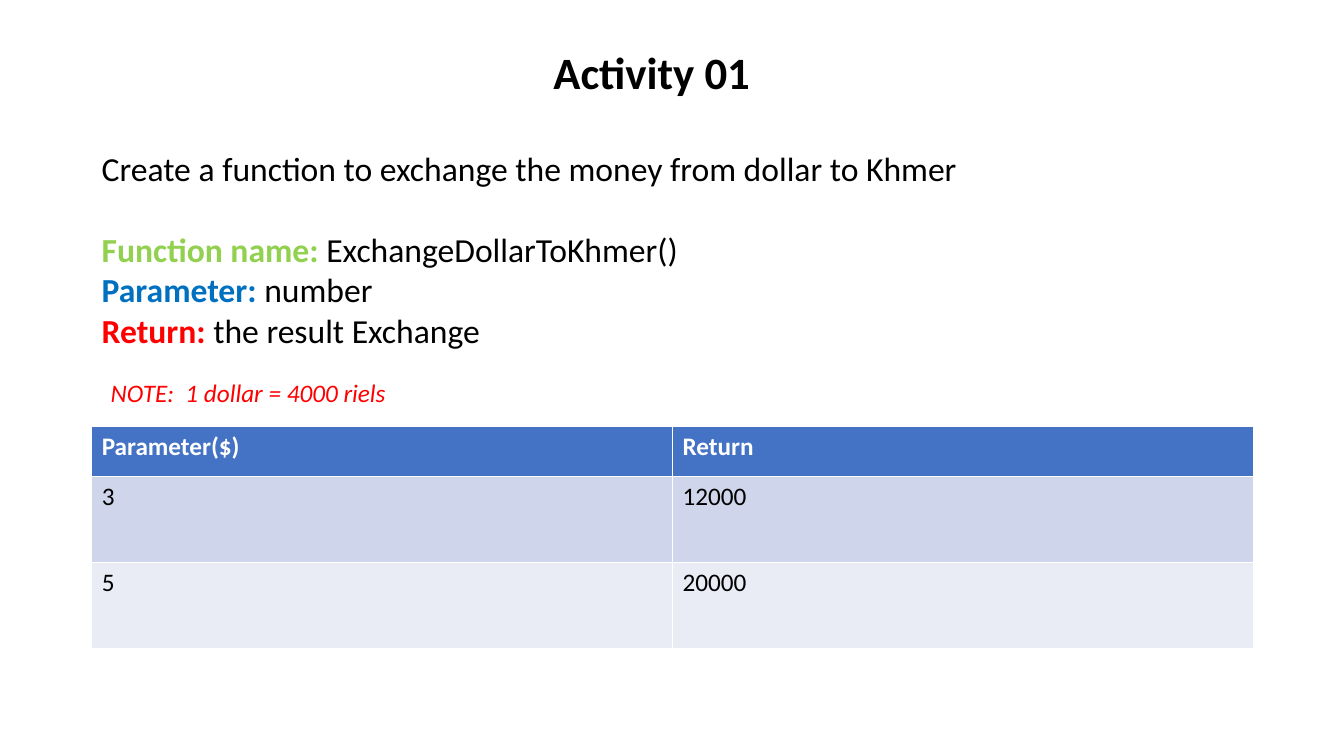
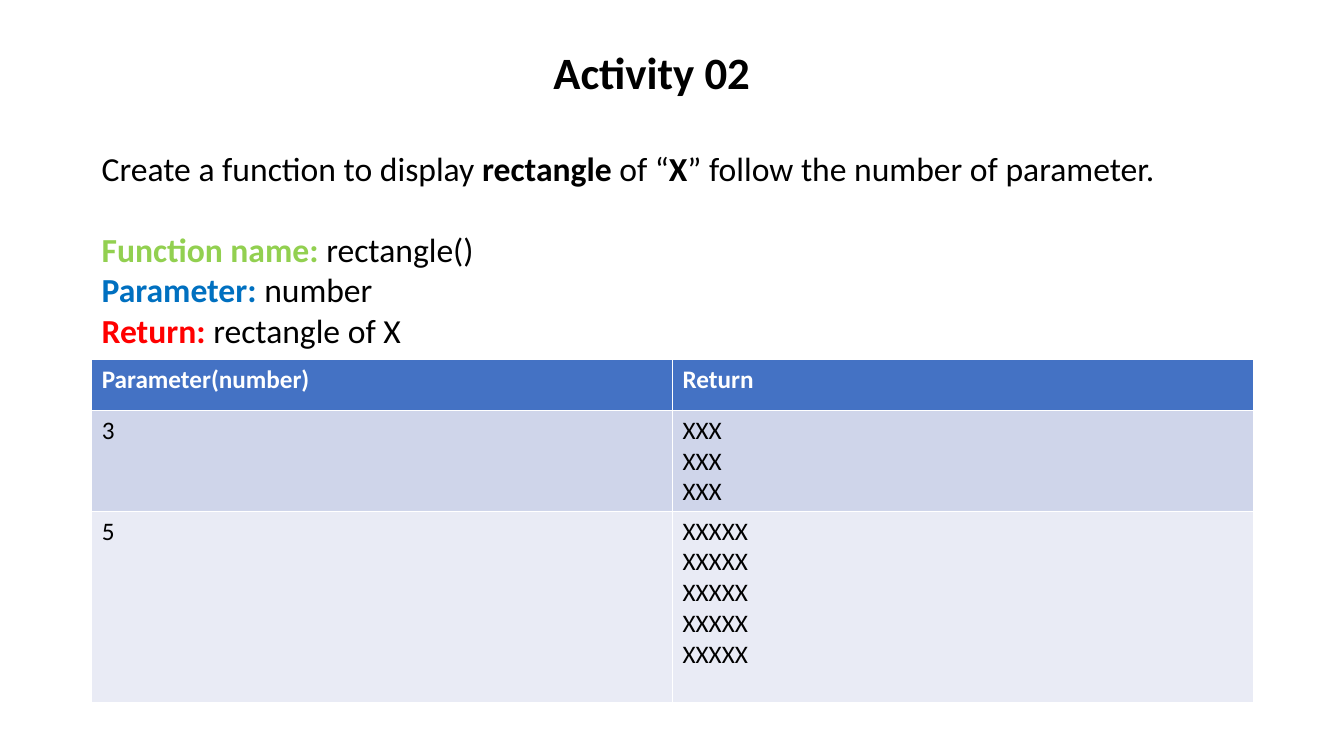
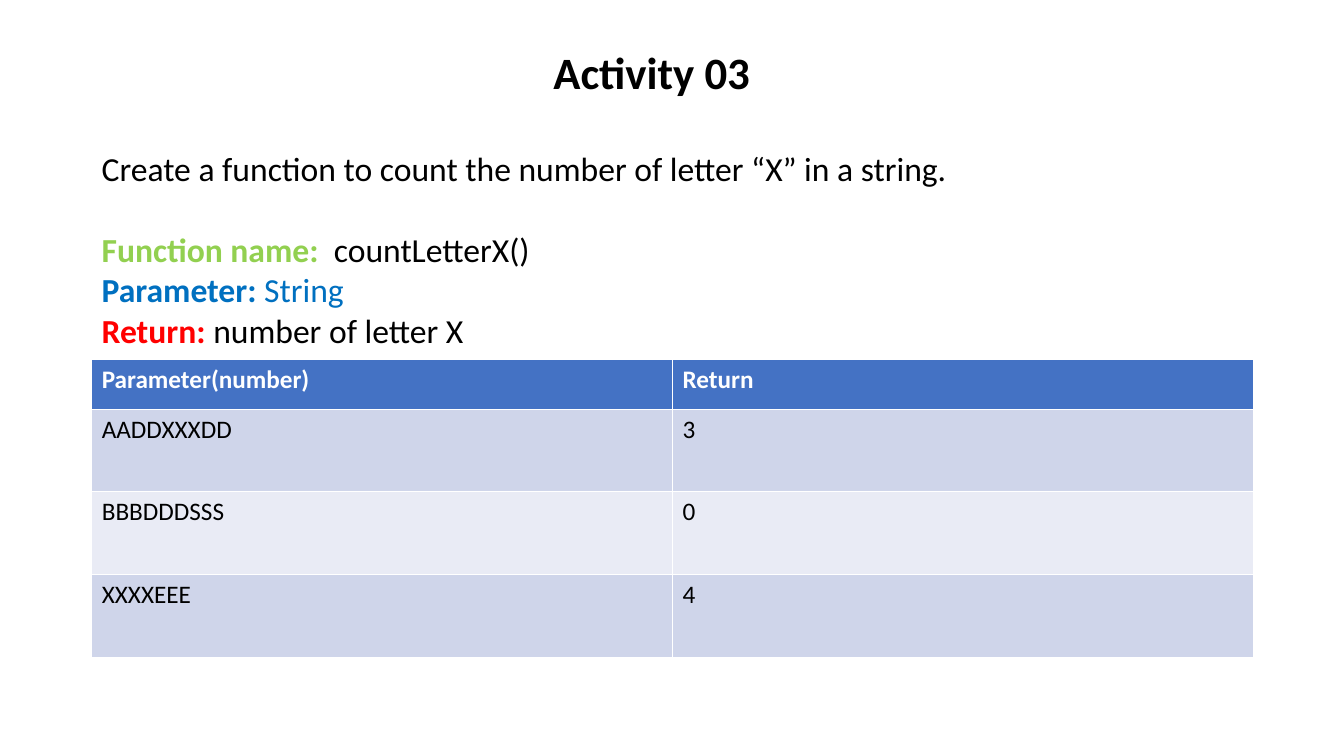
"""Build three activity slides for a lesson on functions."""
from pptx import Presentation
from pptx.dml.color import RGBColor
from pptx.util import Inches, Pt

FONT = "Calibri"
COLORS = {
    "black": "000000", "white": "FFFFFF", "green": "92D050", "blue": "0070C0",
    "red": "FF0000", "head": "4472C4", "dark": "CFD5EA", "light": "E9EBF5",
}
LEFT = 0.91
COL = 5.76

TASKS = [
    {
        "title": "Activity 01",
        "width": 9.08,
        "goal": [("Create a function to exchange the money from dollar to Khmer", False)],
        "name": ("Function name: ", "ExchangeDollarToKhmer()", "black"),
        "param": ("Parameter: ", "number", "black"),
        "result": ("Return: ", "the result Exchange", "black"),
        "note": "NOTE:  1 dollar = 4000 riels",
        "top": 4.23,
        "sizes": [0.5, 0.85, 0.85],
        "rows": [("Parameter($)", "Return"), ("3", "12000"), ("5", "20000")],
    },
    {
        "title": "Activity 02",
        "width": 10.74,
        "goal": [("Create a function to display ", False), ("rectangle", True),
                 (" of “", False), ("X", True),
                 ("” follow the number of parameter.", False)],
        "name": ("Function name: ", "rectangle()", "black"),
        "param": ("Parameter: ", "number", "black"),
        "result": ("Return: ", "rectangle of X", "black"),
        "top": 3.57,
        "sizes": [0.5, 1, 1.9],
        "rows": [("Parameter(number)", "Return")]
        + [(str(n), "\n".join(["X" * n] * n)) for n in (3, 5)],
    },
    {
        "title": "Activity 03",
        "width": 8.66,
        "goal": [("Create a function to count the number of letter “X” in a string.", False)],
        "name": ("Function name:  ", "countLetterX()", "black"),
        "param": ("Parameter:", " String", "blue"),
        "result": ("Return: ", "number of letter X", "black"),
        "top": 3.57,
        "sizes": [0.49, 0.82, 0.82, 0.82],
        "rows": [("Parameter(number)", "Return"), ("AADDXXXDD", "3"),
                 ("BBBDDDSSS", "0"), ("XXXXEEE", "4")],
    },
]


def rgb(name):
    return RGBColor.from_string(COLORS[name])


def style(font, size, color="black", bold=False, italic=False):
    font.name = FONT
    font.size = Pt(size)
    font.color.rgb = rgb(color)
    font.bold = bold
    font.italic = italic


def add_box(slide, left, top, width, height):
    box = slide.shapes.add_textbox(*map(Inches, (left, top, width, height)))
    frame = box.text_frame
    frame.word_wrap = True
    return frame


def add_label(slide, text, area, size, **look):
    frame = add_box(slide, *area)
    frame.text = text
    style(frame.paragraphs[0].runs[0].font, size, **look)


def add_brief(slide, task):
    frame = add_box(slide, LEFT, 1.42, task["width"], 2.12)
    lines = [[(text, "black", bold) for text, bold in task["goal"]]]
    for key, hue in (("name", "green"), ("param", "blue"), ("result", "red")):
        label, value, color = task[key]
        lines.append([(label, hue, True), (value, color, False)])
    for num, line in enumerate(lines):
        para = frame.add_paragraph() if num else frame.paragraphs[0]
        if num == 1:
            para.space_before = Pt(29)
        for text, color, bold in line:
            run = para.add_run()
            run.text = text
            style(run.font, 24, color, bold)


def add_grid(slide, task):
    rows, sizes = task["rows"], task["sizes"]
    count = len(rows[0])
    area = (LEFT, task["top"], COL * count, sum(sizes))
    grid = slide.shapes.add_table(len(rows), count, *map(Inches, area)).table
    for col in grid.columns:
        col.width = Inches(COL)
    for num, (row, size) in enumerate(zip(rows, sizes)):
        grid.rows[num].height = Inches(size)
        head = num == 0
        fill = "head" if head else "dark" if num % 2 else "light"
        for cell, text in zip(grid.rows[num].cells, row):
            cell.fill.solid()
            cell.fill.fore_color.rgb = rgb(fill)
            cell.text_frame.text = text
            for para in cell.text_frame.paragraphs:
                style(para.runs[0].font, 18, "white" if head else "black", head)


def main():
    deck = Presentation()
    deck.slide_width = Inches(13.33)
    deck.slide_height = Inches(7.5)
    for task in TASKS:
        slide = deck.slides.add_slide(deck.slide_layouts[6])
        add_brief(slide, task)
        add_grid(slide, task)
        add_label(slide, task["title"], (5.39, 0.39, 2.31, 0.64), 32, bold=True)
        if "note" in task:
            add_label(slide, task["note"], (1, 3.69, 2.97, 0.4), 18,
                      color="red", italic=True)
    deck.save("out.pptx")


if __name__ == "__main__":
    main()
